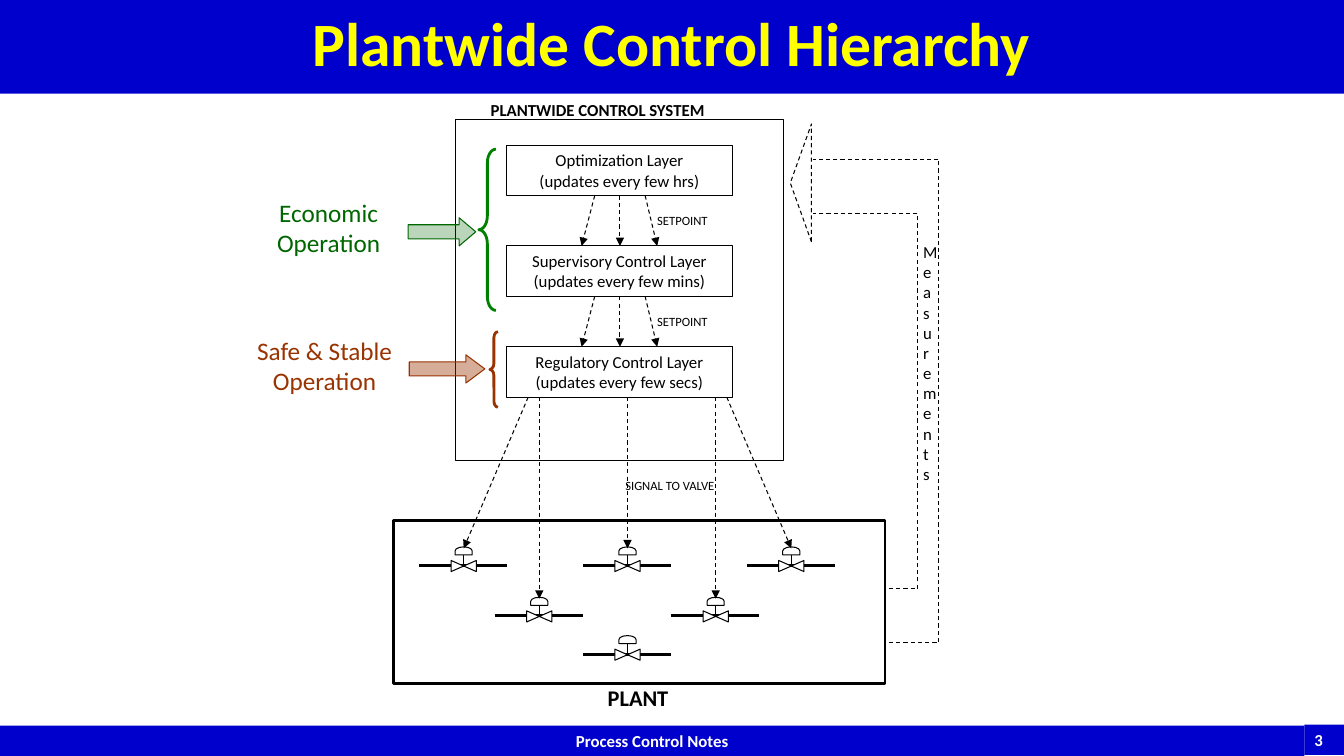
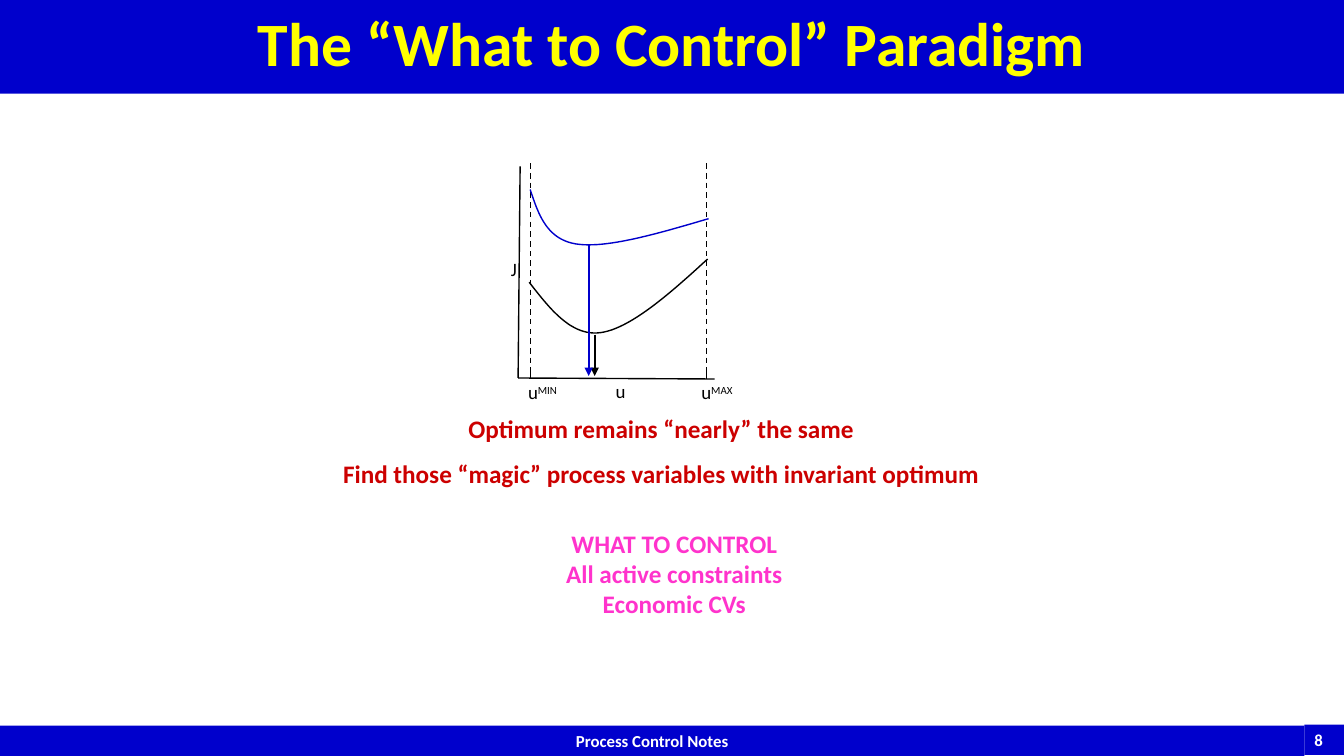
from lxml import etree
from pptx import Presentation
from pptx import util as u
from pptx.dml.color import RGBColor
from pptx.enum import dml, shapes, text
from pptx.oxml.ns import qn

CELL = u.Inches(0.1)  # grid pitch: every length below counts columns or rows
COLUMNS, ROWS = 133.33, 75
FONT = "Calibri"

BAND_BLUE = RGBColor(0x00, 0x00, 0xCC)
TITLE_YELLOW = RGBColor(0xFF, 0xFF, 0x00)
WHITE = RGBColor(0xFF, 0xFF, 0xFF)
BLACK = RGBColor(0x00, 0x00, 0x00)
GREEN = RGBColor(0x00, 0x66, 0x00)
BRACE_GREEN = RGBColor(0x00, 0x80, 0x00)
BROWN = RGBColor(0x99, 0x33, 0x00)
RED = RGBColor(0xCC, 0x00, 0x00)
PINK = RGBColor(0xFF, 0x33, 0xCC)

PRESET = shapes.MSO_SHAPE
LEFT, CENTER, RIGHT = text.PP_ALIGN.LEFT, text.PP_ALIGN.CENTER, text.PP_ALIGN.RIGHT


def grid(*cells):
    return [round(cell * CELL) for cell in cells]


def write(frame, paragraphs, size=12, color=BLACK, bold=False, align=CENTER,
          anchor=text.MSO_ANCHOR.TOP, wrap=True, gap=0, spacing=None):
    """Fill a frame; a paragraph is a string or a (base, superscript) pair."""
    frame.word_wrap = wrap
    frame.vertical_anchor = anchor
    if not wrap:
        frame.auto_size = text.MSO_AUTO_SIZE.SHAPE_TO_FIT_TEXT
    for index, content in enumerate(paragraphs):
        paragraph = frame.add_paragraph() if index else frame.paragraphs[0]
        paragraph.alignment = align
        if spacing:
            paragraph.line_spacing = spacing
        if index and gap:
            paragraph.space_before = u.Pt(gap)
        parts = (content,) if isinstance(content, str) else content
        for level, words in enumerate(parts):
            run = paragraph.add_run()
            run.text = words
            run.font.name, run.font.size, run.font.bold = FONT, u.Pt(size), bold
            run.font.color.rgb = color
            if level:
                run._r.get_or_add_rPr().set("baseline", "30000")


class Deck:
    def __init__(self):
        self.file = Presentation()
        self.file.slide_width, self.file.slide_height = grid(COLUMNS, ROWS)
        self.slide = None

    def start(self, title, number):
        """Add a slide with the title band and the footer band."""
        self.slide = self.file.slides.add_slide(self.file.slide_layouts[6])
        footer = dict(color=WHITE, bold=True)
        self.shape((0, 72, 129.4, 3), fill=BAND_BLUE,
                   words=["Process Control Notes"], **footer)
        self.shape((129.4, 71.9, 4, 3), fill=BAND_BLUE, words=[str(number)],
                   align=LEFT, wrap=False, **footer)
        self.shape((0, 0, COLUMNS, 9.3), fill=BAND_BLUE, words=[title], size=44,
                   color=TITLE_YELLOW, bold=True, spacing=0.9,
                   anchor=text.MSO_ANCHOR.MIDDLE)

    def outline(self, line, color, width, dashed=False):
        line.color.rgb = color
        line.width = u.Pt(width)
        if dashed:
            line.dash_style = dml.MSO_LINE.DASH

    def shape(self, box, preset=PRESET.RECTANGLE, fill=None, opacity=100, line=None,
              width=0.75, dashed=False, rotation=0, adjust=(), words=None, **fmt):
        item = self.slide.shapes.add_shape(preset, *grid(*box))
        item.shadow.inherit = False
        item.rotation = rotation
        for index, value in enumerate(adjust):
            item.adjustments[index] = value
        if fill is None:
            item.fill.background()
        else:
            item.fill.solid()
            item.fill.fore_color.rgb = fill
            if opacity < 100:
                tint = item._element.spPr.find(qn("a:solidFill"))[0]
                etree.SubElement(tint, qn("a:alpha")).set("val", str(opacity * 1000))
        if line is None:
            item.line.fill.background()
        else:
            self.outline(item.line, line, width, dashed)
        if words:
            write(item.text_frame, words, **fmt)

    def label(self, box, *paragraphs, **fmt):
        write(self.slide.shapes.add_textbox(*grid(*box)).text_frame, paragraphs, **fmt)

    def line(self, start, end, color=BLACK, width=0.75, dashed=False, arrow=False):
        item = self.slide.shapes.add_connector(
            shapes.MSO_CONNECTOR.STRAIGHT, *grid(*start, *end))
        self.outline(item.line, color, width, dashed)
        if arrow:
            tip = etree.SubElement(item.line._get_or_add_ln(), qn("a:tailEnd"))
            tip.set("type", "triangle")
        etree.SubElement(item._element.spPr, qn("a:effectLst"))

    def curve(self, start, *segments, color=BLACK, width=1, steps=24):
        """Draw joined cubic Bezier segments, each given as three points."""
        points, origin = [], start
        for segment in segments:
            for step in range(1, steps + 1):
                t = step / steps
                weights = ((1 - t) ** 3, 3 * t * (1 - t) ** 2, 3 * t * t * (1 - t), t ** 3)
                points.append(grid(*(sum(w * value for w, value in zip(weights, axis))
                                     for axis in zip(origin, *segment))))
            origin = segment[-1]
        builder = self.slide.shapes.build_freeform(*grid(*start))
        builder.add_line_segments(points, close=False)
        item = builder.convert_to_shape()
        item.shadow.inherit = False
        item.fill.background()
        self.outline(item.line, color, width)

    def valve(self, x, y):
        """Draw a control valve centred on its pipe at x, y."""
        self.line((x - 4.4, y), (x + 4.3, y), width=2)
        symbol = dict(fill=WHITE, line=BLACK, rotation=270)
        self.shape((x - 0.55, y - 1.2, 1.1, 2.5), PRESET.FLOWCHART_COLLATE, **symbol)
        self.line((x, y + 0.1), (x, y - 1))
        self.shape((x - 0.4, y - 2.3, 0.8, 1.7), PRESET.FLOWCHART_DELAY, **symbol)

    def objective(self, words, text_box, arrow_box, head, brace_box, bend,
                  color, brace_color, opacity):
        """Name the goal of the layers that a brace holds together."""
        self.shape(brace_box, PRESET.LEFT_BRACE, line=brace_color, width=2,
                   adjust=(bend, 0.5))
        self.shape(arrow_box, PRESET.RIGHT_ARROW, fill=color, opacity=opacity,
                   line=color, adjust=(0.5, head))
        self.label(text_box, words, size=18, color=color)


def hierarchy(deck):
    deck.start("Plantwide Control Hierarchy", 3)

    deck.shape((39, 51.6, 48.8, 16.2), line=BLACK, width=2)
    deck.label((58.3, 67.4, 10, 3.8), "PLANT", size=16, bold=True)
    upper, middle, lower = 56.1, 61.1, 64.9
    valves = [(46, upper, 52.4), (53.5, middle, 53.5), (62.25, upper, 62.25),
              (71, middle, 71), (78.5, upper, 72.1), (62.25, lower, None)]
    for x, y, source in valves:
        deck.valve(x, y)
        if source:
            deck.line((source, 39.4), (x, y - 1.7), dashed=True, arrow=True)

    for plant_y, riser_x, return_y in ((58.4, 91, 21.2), (63.7, 93.1, 15.8)):
        corners = [(88.2, plant_y), (riser_x, plant_y),
                   (riser_x, return_y), (80.7, return_y)]
        for start, end in zip(corners, corners[1:]):
            deck.line(start, end, dashed=True)
    deck.shape((73.6, 17.1, 11.7, 2.1), PRESET.ISOSCELES_TRIANGLE, fill=WHITE,
               line=BLACK, dashed=True, rotation=270)
    deck.label((90.6, 23.5, 2.5, 24.2), "Measurements", align=RIGHT)

    layers = [("Optimization", "hrs"), ("Supervisory Control", "mins"),
              ("Regulatory Control", "secs")]
    first, pitch, height = 14.4, 10, 5
    for index, (name, period) in enumerate(layers):
        top = first + index * pitch
        deck.shape((50.2, top, 22.5, height), fill=WHITE, line=BLACK,
                   words=[f"{name} Layer", f"(updates every few {period})"])
        if index:
            for source, target in ((59, 57.7), (61.5, 61.5), (64, 65.2)):
                deck.line((source, top - pitch + height), (target, top),
                          dashed=True, arrow=True)
            deck.label((62.7, top - 3.8, 10, 3.8), "SETPOINT", size=9)
    deck.shape((45.2, 11.9, 32.5, 33.8), line=BLACK)
    deck.label((47.7, 9.4, 30, 3.8), "PLANTWIDE CONTROL SYSTEM", bold=True, align=LEFT)
    deck.label((60.2, 46.9, 12.5, 3.8), "SIGNAL TO VALVE", size=9)

    deck.objective("Economic Operation", (25.2, 19.1, 14.8, 7),
                   (40.5, 21.6, 6.7, 2.8), 0.59, (47.5, 14.8, 1.7, 16), 0.8,
                   GREEN, BRACE_GREEN, 27)
    deck.objective("Safe & Stable Operation", (23.3, 32.8, 17.8, 7),
                   (40.6, 35.2, 7.5, 2.8), 0.67, (48.6, 32.9, 0.8, 7.5), 0.75,
                   BROWN, BROWN, 40)


def paradigm(deck):
    deck.start("The “What to Control” Paradigm", 8)

    axis_label = dict(size=13.5, align=LEFT, wrap=False)
    deck.label((49.7, 25.1, 2.6, 3.3), "J", **axis_label)
    deck.label((60.1, 37.2, 3, 3.3), "u", **axis_label)
    deck.line((51.6, 16.5), (51.4, 37.5), width=1)
    deck.line((70.9, 37.6), (51.4, 37.5), width=1)
    for x, limit, label_x in ((52.6, "MIN", 51.4), (70.1, "MAX", 68.6)):
        deck.line((x, 16.2), (x, 37.2), width=1, dashed=True)
        deck.line((x, 36.9), (x, 37.6), width=1)
        deck.label((label_x, 37.3, 5.3, 3.3), ("u", limit), **axis_label)

    deck.curve((52.5, 28), ((54.6, 30.7), (56.7, 33.4), (59.6, 33)),
               ((62.5, 32.6), (66.4, 29.2), (70.2, 25.7)))
    deck.curve((52.6, 18.8), ((53.4, 21.2), (54.2, 23.7), (57.1, 24.2)),
               ((60.1, 24.7), (65.2, 23.2), (70.3, 21.7)), color=BAND_BLUE)
    for x, minimum, color in ((59, 33.2, BLACK), (58.4, 24.3, BAND_BLUE)):
        deck.line((x, minimum), (x, 37.3), color=color, width=1.5, arrow=True)

    deck.label((32.8, 40.5, 65.6, 8.6), "Optimum remains “nearly” the same",
               "Find those “magic” process variables with invariant optimum",
               size=18, color=RED, bold=True, wrap=False, gap=11)
    deck.label((55.1, 51.9, 23.6, 10.1), "WHAT TO CONTROL", "All active constraints",
               "Economic CVs", size=18, color=PINK, bold=True, wrap=False)


def main():
    deck = Deck()
    hierarchy(deck)
    paradigm(deck)
    deck.file.save("out.pptx")


if __name__ == "__main__":
    main()
